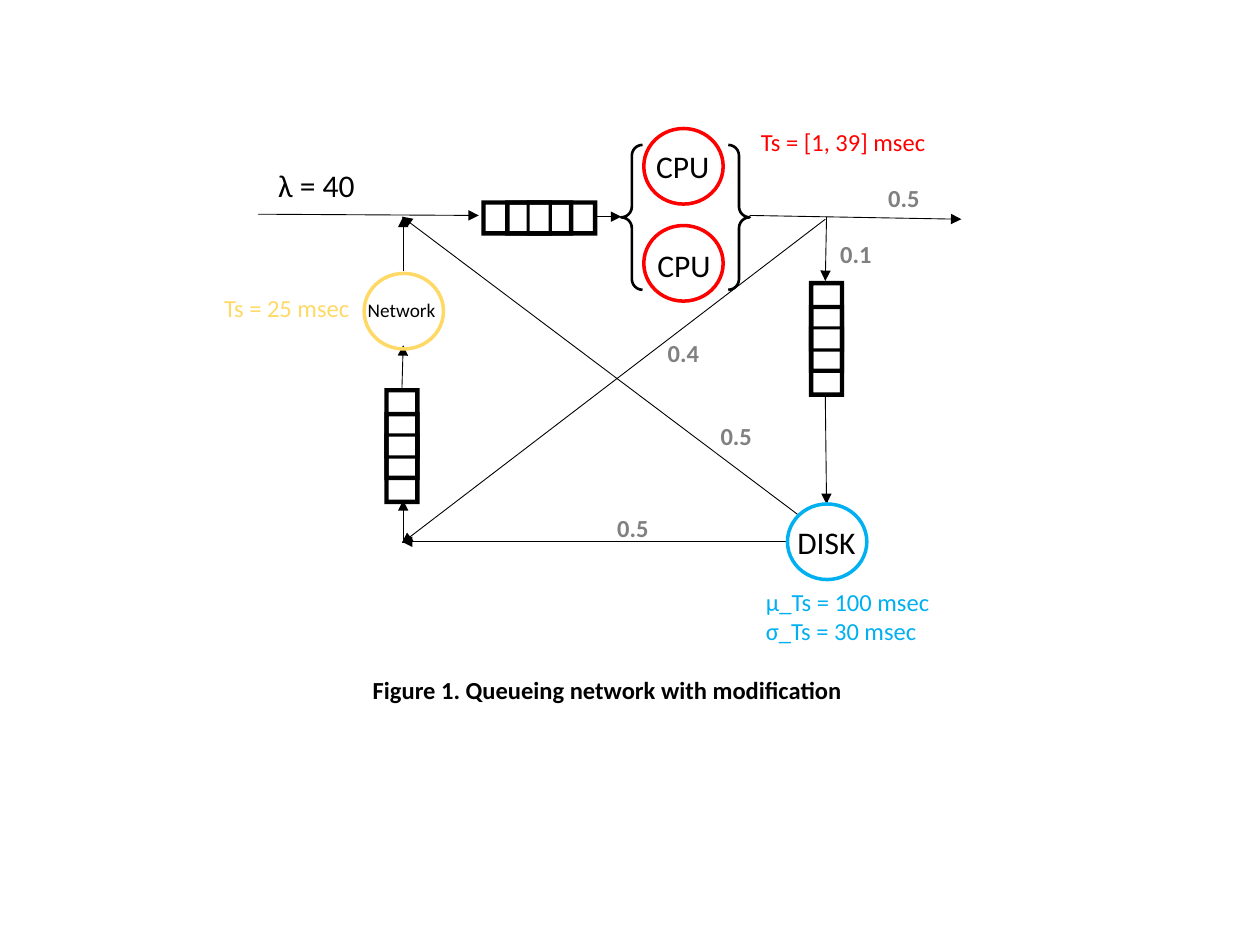
import pptx
import pptx.util
import pptx.dml.color
import pptx.enum.shapes
import pptx.enum.text
import pptx.oxml
import pptx.oxml.ns
from pptx.util import Inches

RGBColor = pptx.dml.color.RGBColor
SHAPE = pptx.enum.shapes.MSO_SHAPE
ALIGN = pptx.enum.text.PP_ALIGN

BLACK = RGBColor(0x00, 0x00, 0x00)
GREY = RGBColor(0x80, 0x80, 0x80)
RED = RGBColor(0xFF, 0x00, 0x00)
BLUE = RGBColor(0x00, 0xB0, 0xF0)
YELLOW = RGBColor(0xFF, 0xD9, 0x66)

FONT = "Calibri"
SERVER_SIZE = (0.63, 0.6)
QUEUE_HEIGHT = 0.28
QUEUE_WIDTHS = (0.92, 0.54, 0.2)

FLOWS = [
    ((2.05, 1.7), (3.8, 1.71)),
    ((4.73, 1.72), (4.93, 1.72)),
    ((5.95, 1.71), (7.63, 1.74)),
    ((6.56, 1.72), (6.55, 2.23)),
    ((6.55, 3.15), (6.56, 4.0)),
    ((6.25, 4.3), (3.19, 4.3)),
    ((3.2, 4.31), (3.2, 3.97)),
    ((3.19, 3.09), (3.2, 2.74)),
    ((3.2, 2.15), (3.2, 1.72)),
    ((6.55, 1.74), (3.19, 4.31)),
    ((6.34, 4.09), (3.19, 1.72)),
]
PROBABILITIES = [
    ("0.5", 6.95, 1.4),
    ("0.1", 6.57, 1.85),
    ("0.4", 5.2, 2.63),
    ("0.5", 5.62, 3.29),
    ("0.5", 4.8, 4.02),
]


def add_flow(slide, start, end):
    points = [Inches(value) for value in start + end]
    flow = slide.shapes.add_connector(pptx.enum.shapes.MSO_CONNECTOR.STRAIGHT, *points)
    flow.line.color.rgb = BLACK
    flow.line.width = pptx.util.Pt(0.5)
    arrowhead = pptx.oxml.parse_xml(
        '<a:tailEnd %s type="triangle"/>' % pptx.oxml.ns.nsdecls("a"))
    flow.line._get_or_add_ln().append(arrowhead)
    no_effects = pptx.oxml.parse_xml('<a:effectLst %s/>' % pptx.oxml.ns.nsdecls("a"))
    flow._element.spPr.append(no_effects)


def add_outline(slide, preset, left, top, width, height, color, weight):
    outline = slide.shapes.add_shape(
        preset, Inches(left), Inches(top), Inches(width), Inches(height))
    outline.shadow.inherit = False
    outline.fill.background()
    outline.line.color.rgb = color
    outline.line.width = pptx.util.Pt(weight)


def add_queue(slide, center_x, center_y, rotation=0):
    for width in QUEUE_WIDTHS:
        cell = slide.shapes.add_shape(
            SHAPE.FRAME, Inches(center_x - width / 2),
            Inches(center_y - QUEUE_HEIGHT / 2), Inches(width), Inches(QUEUE_HEIGHT))
        cell.rotation = rotation
        cell.shadow.inherit = False
        cell.fill.solid()
        cell.fill.fore_color.rgb = BLACK
        cell.line.fill.background()


def add_label(slide, text, left, top, width, height, size=14, color=BLACK,
              bold=False, align=ALIGN.LEFT, wrap=True):
    label = slide.shapes.add_textbox(
        Inches(left), Inches(top), Inches(width), Inches(height))
    frame = label.text_frame
    frame.word_wrap = wrap
    frame.auto_size = pptx.enum.text.MSO_AUTO_SIZE.SHAPE_TO_FIT_TEXT
    frame.text = text
    for paragraph in frame.paragraphs:
        paragraph.alignment = align
        for run in paragraph.runs:
            run.font.name = FONT
            run.font.size = pptx.util.Pt(size)
            run.font.bold = bold
            run.font.color.rgb = color


def add_server(slide, name, left, top, color, label_box, size=18, wrap=False):
    add_outline(slide, SHAPE.OVAL, left, top, *SERVER_SIZE, color, 2)
    add_label(slide, name, *label_box, size=size, wrap=wrap)


def main():
    deck = pptx.Presentation()
    deck.slide_width = Inches(10)
    deck.slide_height = Inches(7.5)
    slide = deck.slides.add_slide(deck.slide_layouts[6])

    for start, end in FLOWS:
        add_flow(slide, start, end)

    add_queue(slide, 4.28, 1.73)
    add_queue(slide, 6.56, 2.69, 90)
    add_queue(slide, 3.19, 3.54, 90)

    add_server(slide, "CPU", 5.11, 1.02, RED, (5.11, 1.12, 0.63, 0.4))
    add_server(slide, "CPU", 5.11, 1.79, RED, (5.12, 1.9, 0.63, 0.4))
    add_server(slide, "DISK", 6.25, 4.0, BLUE, (6.23, 4.1, 0.67, 0.4), wrap=True)
    add_server(slide, "Network", 2.89, 2.17, YELLOW, (2.82, 2.32, 0.75, 0.29), size=11)
    add_outline(slide, SHAPE.DOUBLE_BRACE, 4.93, 1.15, 1.02, 1.15, BLACK, 1.5)

    for probability, left, top in PROBABILITIES:
        add_label(slide, probability, left, top, 0.48, 0.34, color=GREY, bold=True)

    add_label(slide, "λ = 40", 2.11, 1.27, 0.9, 0.4, size=18)
    add_label(slide, "Ts = [1, 39] msec", 5.94, 0.96, 1.58, 0.34, color=RED)
    add_label(slide, "µ_Ts = 100 msec\nσ_Ts = 30 msec", 5.98, 4.61, 1.64, 0.57, color=BLUE)
    add_label(slide, "Ts = 25 msec", 1.68, 2.28, 1.27, 0.34, color=YELLOW)
    add_label(slide, "Figure 1. Queueing network with modification",
              1.9, 5.31, 5.84, 0.34, bold=True, align=ALIGN.CENTER)

    deck.save("out.pptx")


main()
